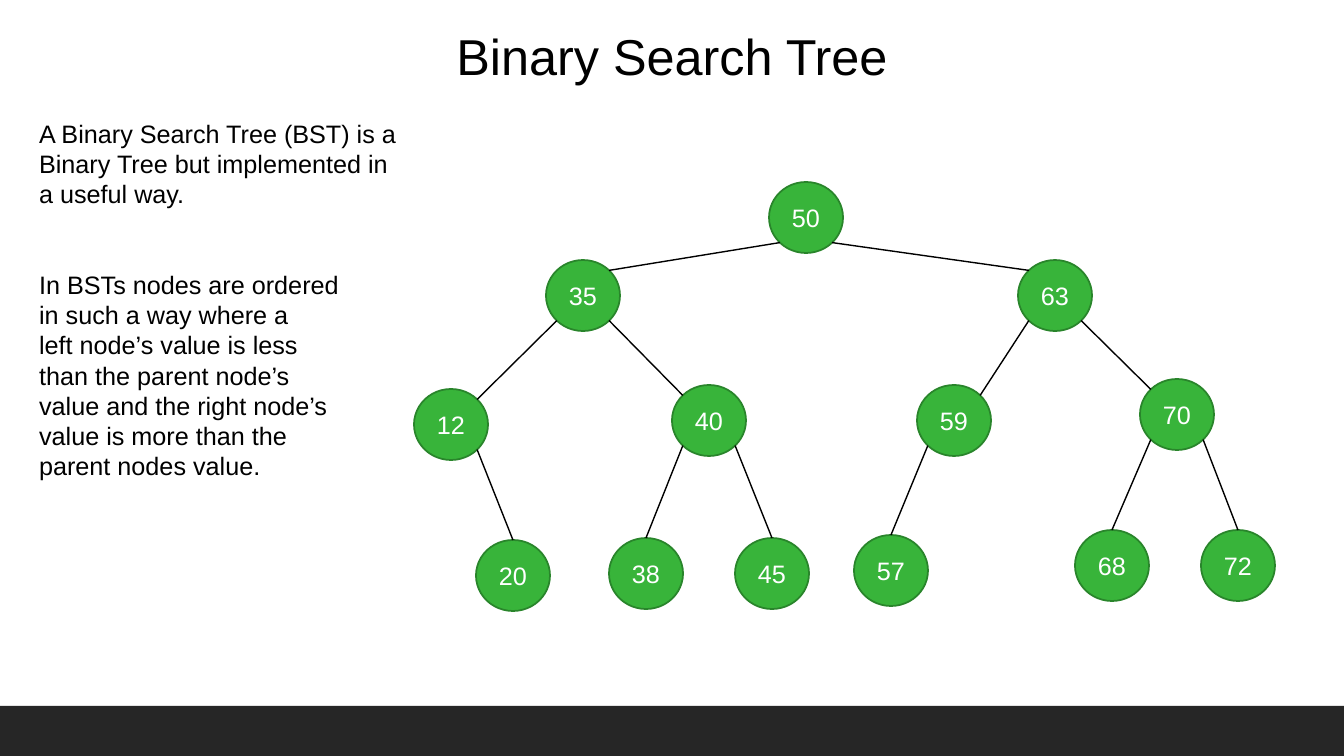
from dataclasses import dataclass
from math import sqrt

from lxml.etree import SubElement
from pptx import Presentation
from pptx.dml.color import RGBColor
from pptx.enum.shapes import MSO_CONNECTOR, MSO_SHAPE
from pptx.enum.text import MSO_ANCHOR, MSO_AUTO_SIZE, PP_ALIGN
from pptx.oxml.ns import qn
from pptx.util import Pt

SLIDE_W, SLIDE_H = 1344, 756
EMU_PER_PX = 12192000 / SLIDE_W
NODE_W, NODE_H = 74, 71
DIAGONAL_INSET = (1 - 1 / sqrt(2)) / 2  # where 45 degrees meets an ellipse

# value: (left, top)
NODES = {
    50: (769, 182),
    35: (546, 260), 63: (1018, 260),
    12: (414, 389), 40: (672, 385), 59: (917, 385), 70: (1140, 379),
    20: (476, 540), 38: (609, 538), 45: (735, 538),
    57: (854, 535), 68: (1075, 530), 72: (1201, 530),
}
CHILDREN = {
    50: (35, 63), 35: (12, 40), 63: (59, 70),
    12: (20,), 40: (38, 45), 59: (57,), 70: (68, 72),
}
EXPLANATION = [
    "A Binary Search Tree (BST) is a\vBinary Tree but implemented in\v"
    "a useful way.",
    "In BSTs nodes are ordered\vin such a way where a\v"
    "left node’s value is less\vthan the parent node’s\v"
    "value and the right node’s\vvalue is more than the\v"
    "parent nodes value.",
]


@dataclass(frozen=True)
class Theme:
    font: str = "Arial"
    text: str = "000000"
    node_text: str = "FFFFFF"
    node_fill: str = "38B43A"
    node_line: str = "29852B"
    edge: str = "000000"
    footer: str = "262626"
    title_size: int = 36
    body_size: int = 18
    line_pitch: float = 21.6
    node_line_width: float = 1.25
    edge_width: float = 1


def px(length):
    return round(length * EMU_PER_PX)


def write(frame, paragraphs, size, color, font, align=PP_ALIGN.LEFT,
          anchor=MSO_ANCHOR.TOP, gap=0, pitch=None):
    """Fill a text frame with unbulleted paragraphs, gap points apart."""
    frame.word_wrap = True
    frame.auto_size = MSO_AUTO_SIZE.NONE
    frame.vertical_anchor = anchor
    for index, text in enumerate(paragraphs):
        paragraph = frame.paragraphs[0] if index == 0 else frame.add_paragraph()
        paragraph.text = text
        paragraph.alignment = align
        paragraph.space_before = Pt(gap if index else 0)
        if pitch:
            paragraph.line_spacing = Pt(pitch)
        properties = paragraph._p.get_or_add_pPr()
        properties.set("marL", "0")
        properties.set("indent", "0")
        SubElement(properties, qn("a:buNone"))
        paragraph.font.size = Pt(size)
        paragraph.font.name = font
        paragraph.font.color.rgb = RGBColor.from_string(color)


class TreeSlide:
    def __init__(self, slide, theme):
        self.slide = slide
        self.theme = theme

    def place(self, placeholder, left, top, width, height):
        placeholder.left, placeholder.top = px(left), px(top)
        placeholder.width, placeholder.height = px(width), px(height)
        return placeholder.text_frame

    def title(self, text, *box):
        theme = self.theme
        write(self.place(self.slide.shapes.title, *box), [text],
              theme.title_size, theme.text, theme.font, align=PP_ALIGN.CENTER)

    def body(self, paragraphs, *box):
        theme = self.theme
        write(self.place(self.slide.placeholders[1], *box), paragraphs,
              theme.body_size, theme.text, theme.font,
              gap=2 * theme.line_pitch, pitch=theme.line_pitch)

    def shape(self, kind, left, top, width, height, fill, line=None):
        shape = self.slide.shapes.add_shape(
            kind, px(left), px(top), px(width), px(height))
        shape.shadow.inherit = False
        shape.fill.solid()
        shape.fill.fore_color.rgb = RGBColor.from_string(fill)
        if line:
            shape.line.color.rgb = RGBColor.from_string(line)
            shape.line.width = Pt(self.theme.node_line_width)
        else:
            shape.line.fill.background()
        return shape

    def footer(self, height):
        self.shape(MSO_SHAPE.RECTANGLE, 0, SLIDE_H - height, SLIDE_W, height,
                   self.theme.footer)

    def node(self, value, left, top):
        theme = self.theme
        node = self.shape(MSO_SHAPE.OVAL, left, top, NODE_W, NODE_H,
                          theme.node_fill, theme.node_line)
        write(node.text_frame, [str(value)], theme.body_size, theme.node_text,
              theme.font, align=PP_ALIGN.CENTER, anchor=MSO_ANCHOR.MIDDLE)
        return node

    def edge(self, parent, child, child_is_leaf):
        """Run from the parent's lower diagonal to the child's top or diagonal."""
        goes_left = child.left < parent.left
        start = diagonal(parent, right=not goes_left, bottom=True)
        end = diagonal(child, right=goes_left, bottom=False)
        edge = self.slide.shapes.add_connector(
            MSO_CONNECTOR.STRAIGHT, *start, *end)
        if child_is_leaf:
            edge.end_connect(child, 0)
        edge.line.color.rgb = RGBColor.from_string(self.theme.edge)
        edge.line.width = Pt(self.theme.edge_width)
        SubElement(edge._element.spPr, qn("a:effectLst"))


def diagonal(node, right, bottom):
    """Point at 45 degrees on a node's outline."""
    across = 1 - DIAGONAL_INSET if right else DIAGONAL_INSET
    down = 1 - DIAGONAL_INSET if bottom else DIAGONAL_INSET
    return (round(node.left + node.width * across),
            round(node.top + node.height * down))


def main():
    deck = Presentation()
    deck.slide_width, deck.slide_height = px(SLIDE_W), px(SLIDE_H)
    page = TreeSlide(deck.slides.add_slide(deck.slide_layouts[1]), Theme())

    page.footer(50)
    page.title("Binary Search Tree", 338, 20, 668, 71)
    page.body(EXPLANATION, 29, 113, 384, 407)

    nodes = {value: page.node(value, *spot) for value, spot in NODES.items()}
    for parent, children in CHILDREN.items():
        for child in children:
            page.edge(nodes[parent], nodes[child], child not in CHILDREN)

    deck.save("out.pptx")


if __name__ == "__main__":
    main()
